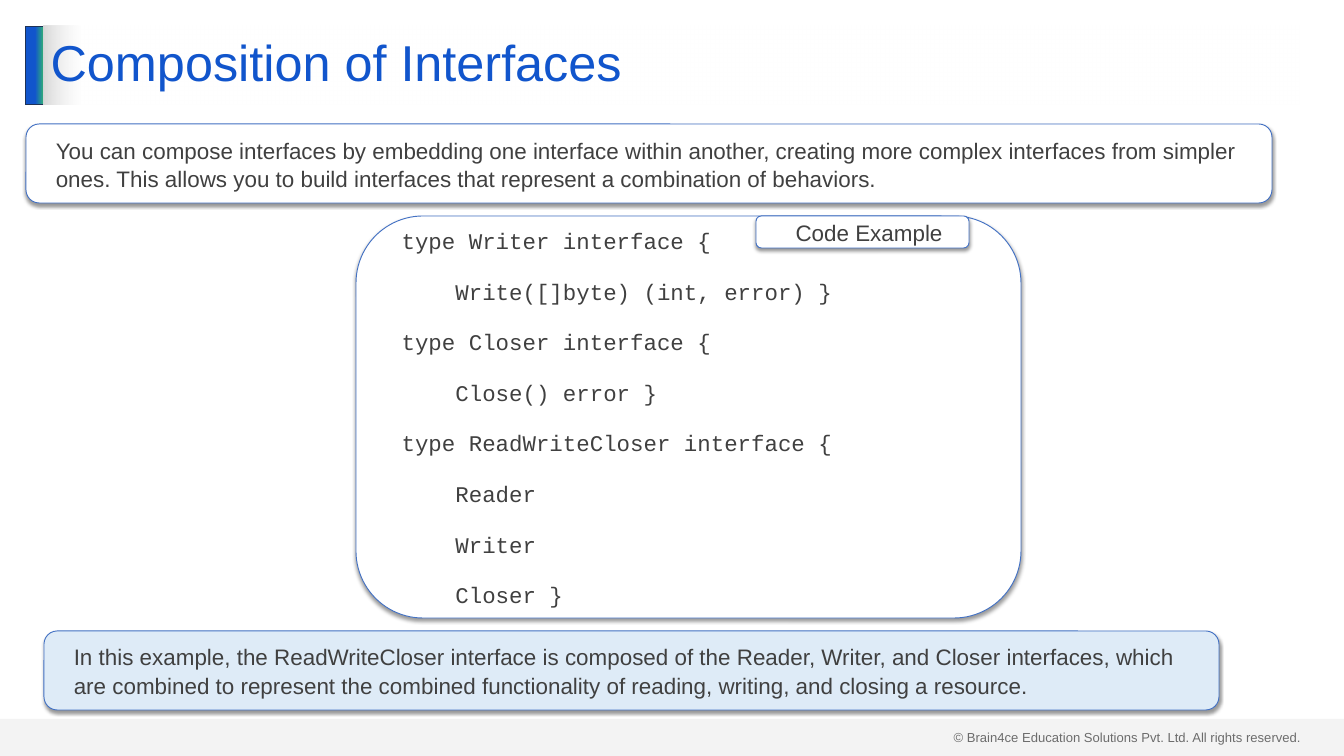
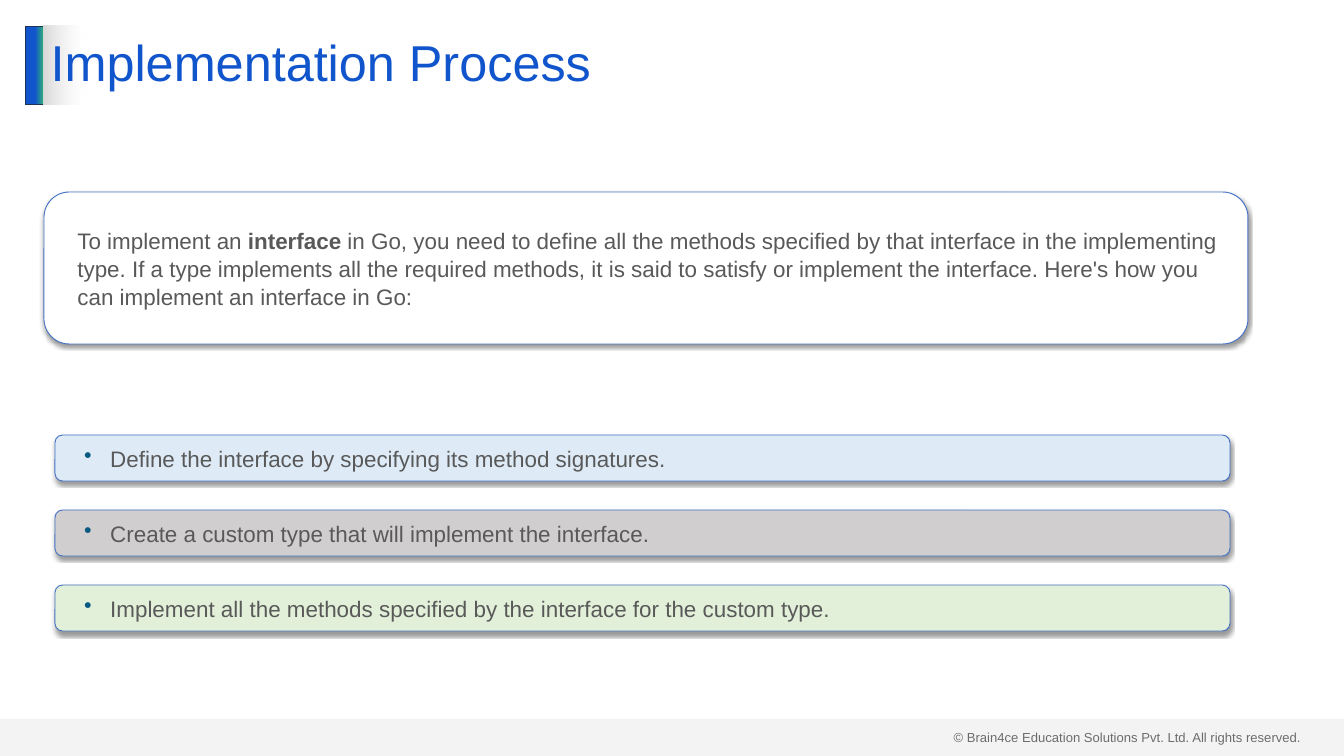
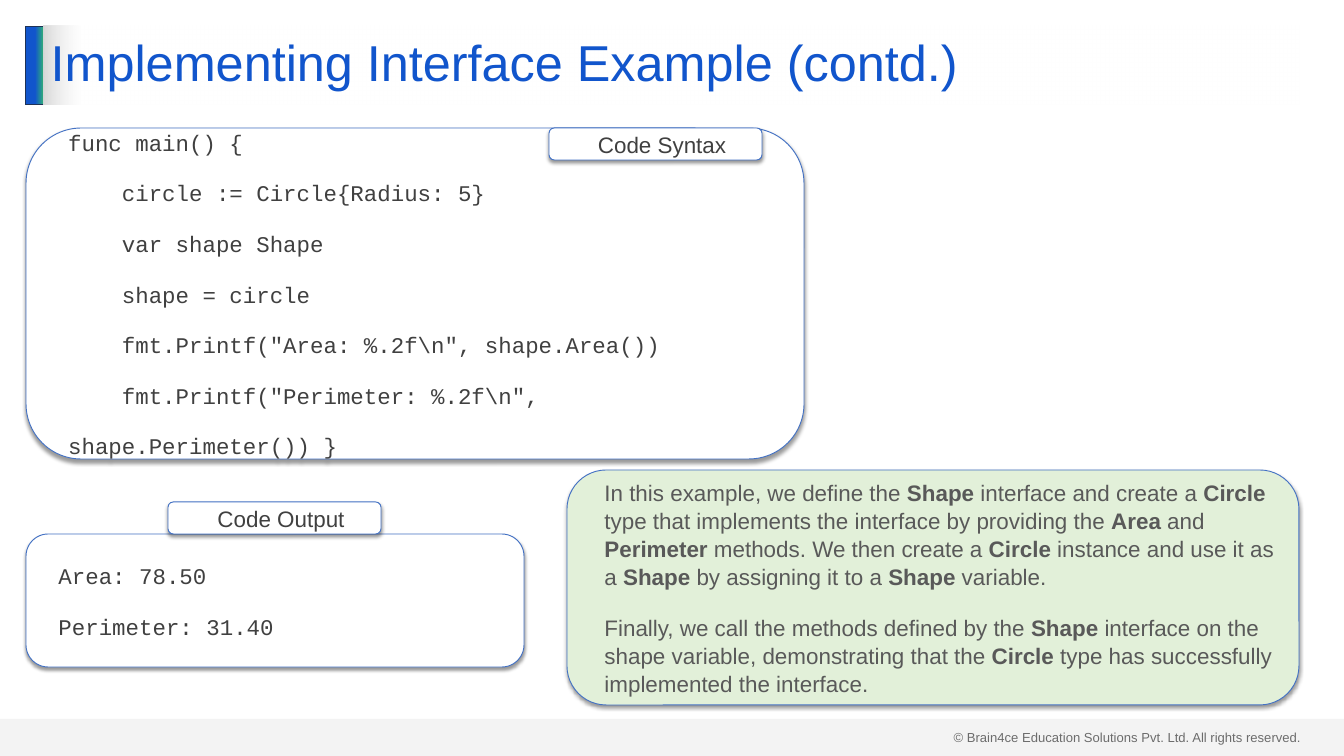
from lxml import etree
from pptx import Presentation
from pptx import util as u
from pptx.dml.color import RGBColor
from pptx.enum import shapes, text
from pptx.oxml.ns import qn

PX = 914400 / 67.2
WIDTH, HEIGHT = 1344, 756
COLOURS = {
    "title": "1155CC", "teal": "2EA87D", "bar_edge": "1E3256",
    "grey": "D9D9D9", "white": "FFFFFF", "edge": "4472C4",
    "dark": "404040", "text": "595959", "bullet": "095A82",
    "blue": "DEEBF7", "stone": "D0CECE", "green": "E2F0D9", "shadow": "000000",
}
BODY, CODE = "Arial", "Courier New"
TAG_SIZE = (213, 32)
COPYRIGHT = "© Brain4ce Education Solutions Pvt. Ltd. All rights reserved."

COMPOSITION_CODE = """type Writer interface {
    Write([]byte) (int, error) }
type Closer interface {
    Close() error }
type ReadWriteCloser interface {
    Reader
    Writer
    Closer }"""

MAIN_CODE = r"""func main() {
    circle := Circle{Radius: 5}
    var shape Shape
    shape = circle
    fmt.Printf("Area: %.2f\n", shape.Area())
    fmt.Printf("Perimeter: %.2f\n",
shape.Perimeter()) }"""

STEPS = [
    ("Define the interface by specifying its method signatures.", "blue"),
    ("Create a custom type that will implement the interface.", "stone"),
    ("Implement all the methods specified by the interface for the custom type.", "green"),
]


def px(value):
    return u.Emu(round(value * PX))


def rgb(name):
    return RGBColor.from_string(COLOURS[name])


def add_colour(parent, name, opacity=100):
    colour = etree.SubElement(parent, qn("a:srgbClr"), val=COLOURS[name])
    if opacity < 100:
        etree.SubElement(colour, qn("a:alpha"), val=str(opacity * 1000))


def add_box(page, area, fill=None, edge=None, kind=shapes.MSO_SHAPE.RECTANGLE):
    box = page.shapes.add_shape(kind, *map(px, area))
    box.shadow.inherit = False
    if fill:
        box.fill.solid()
        box.fill.fore_color.rgb = rgb(fill)
    if edge:
        box.line.color.rgb = rgb(edge)
        box.line.width = u.Pt(1)
    else:
        box.line.fill.background()
    return box


def set_gradient(box, stops):
    """Fill from left to right with (percent, colour, opacity) stops."""
    box.fill.gradient()
    box.fill.gradient_angle = 0
    stop_list = box.element.spPr.find(".//" + qn("a:gsLst"))
    for stop in list(stop_list):
        stop_list.remove(stop)
    for percent, name, opacity in stops:
        stop = etree.SubElement(stop_list, qn("a:gs"), pos=str(percent * 1000))
        add_colour(stop, name, opacity)


def add_shadow(box):
    effects = box.element.spPr.find(qn("a:effectLst"))
    shadow = etree.SubElement(
        effects, qn("a:outerShdw"), blurRad=str(u.Pt(4)), dist=str(u.Pt(3)),
        dir="5400000", algn="t", rotWithShape="0")
    add_colour(shadow, "shadow", 40)


def style(font, size, colour, name=BODY):
    font.size = u.Pt(size)
    font.name = name
    font.color.rgb = rgb(colour)


def indent(para, bullet):
    properties = para._p.get_or_add_pPr()
    properties.set("marL", str(px(40 if bullet else 13)))
    properties.set("indent", str(px(-26 if bullet else 0)))
    if bullet:
        add_colour(etree.SubElement(properties, qn("a:buClr")), "bullet")
        etree.SubElement(properties, qn("a:buChar"), char="•")


def add_card(page, area, content, fill="white", colour="dark", font=BODY,
             align=text.PP_ALIGN.LEFT, bullet=False):
    """Rounded card; each line is a paragraph and **marks** set bold spans."""
    box = add_box(page, area, fill, "edge", shapes.MSO_SHAPE.ROUNDED_RECTANGLE)
    add_shadow(box)
    frame = box.text_frame
    frame.word_wrap = True
    frame.vertical_anchor = text.MSO_ANCHOR.MIDDLE
    frame.margin_left = frame.margin_right = px(13)
    frame.margin_top = frame.margin_bottom = px(7)
    frame.text = content.replace("**", "")
    for number, (para, line) in enumerate(zip(frame.paragraphs, content.split("\n"))):
        indent(para, bullet)
        para.alignment = align
        para.line_spacing = 1.05
        para.space_before = u.Pt(12 if number else 0)
        para.space_after = u.Pt(12)
        para.text = ""
        for position, words in enumerate(line.split("**")):
            span = para.add_run()
            span.text = words
            style(span.font, 24, colour, font)
            span.font.bold = position % 2 == 1


def add_tag(page, left, top, label):
    add_card(page, (left, top, *TAG_SIZE), label, align=text.PP_ALIGN.CENTER)


def add_footer(page):
    box = page.shapes.add_textbox(*map(px, (947, 726, 364, 23)))
    box.text_frame.text = COPYRIGHT
    style(box.text_frame.paragraphs[0].runs[0].font, 14, "dark")


def add_footer_band(page):
    band = add_box(page, (0, 719, WIDTH, 37), "grey")
    add_colour_parent = band.element.spPr.find(qn("a:solidFill"))
    add_colour_parent.clear()
    add_colour(add_colour_parent, "grey", 29)


def add_title(page, title):
    box = add_box(page, (44, 26, 1255, 79))
    set_gradient(box, [(0, "grey", 100), (3, "white", 50)])
    frame = box.text_frame
    frame.word_wrap = True
    frame.vertical_anchor = text.MSO_ANCHOR.MIDDLE
    frame.text = title
    para = frame.paragraphs[0]
    para.alignment = text.PP_ALIGN.LEFT
    para.line_spacing = 0.9
    style(para.runs[0].font, 54, "title")


def add_page(deck, title):
    page = deck.slides.add_slide(deck.slide_layouts[6])
    add_footer(page)
    bar = add_box(page, (25, 26, 20, 79), edge="bar_edge")
    set_gradient(bar, [(51, "title", 100), (90, "teal", 100), (100, "teal", 100)])
    add_footer_band(page)
    add_title(page, title)
    return page


def add_composition(deck):
    page = add_page(deck, "Composition of Interfaces")
    add_card(page, (26, 124, 1246, 79),
             "You can compose interfaces by embedding one interface within another, "
             "creating more complex interfaces from simpler ones. This allows you to "
             "build interfaces that represent a combination of behaviors.")
    add_card(page, (44, 631, 1175, 79),
             "In this example, the ReadWriteCloser interface is composed of the Reader, "
             "Writer, and Closer interfaces, which are combined to represent the combined "
             "functionality of reading, writing, and closing a resource.", "blue")
    add_card(page, (356, 216, 665, 402), COMPOSITION_CODE, font=CODE)
    add_tag(page, 756, 216, "Code Example")


def add_process(deck):
    page = add_page(deck, "Implementation Process")
    add_card(page, (44, 192, 1204, 152),
             "To implement an **interface** in Go, you need to define all the methods "
             "specified by that interface in the implementing type. If a type implements "
             "all the required methods, it is said to satisfy or implement the interface. "
             "Here's how you can implement an interface in Go:", colour="text")
    for number, (step, fill) in enumerate(STEPS):
        add_card(page, (55, 435 + 75 * number, 1175, 46), step, fill, "text", bullet=True)


def add_example(deck):
    page = add_page(deck, "Implementing Interface Example (contd.)")
    add_card(page, (26, 128, 778, 331), MAIN_CODE, font=CODE)
    add_tag(page, 549, 128, "Code Syntax")
    add_card(page, (26, 534, 498, 133), "Area: 78.50\nPerimeter: 31.40", font=CODE)
    add_tag(page, 168, 502, "Code Output")
    add_card(page, (567, 470, 732, 235),
             "In this example, we define the **Shape** interface and create a **Circle **"
             "type that implements the interface by providing the **Area** and "
             "**Perimeter** methods. We then create a **Circle** instance and use it as a "
             "**Shape** by assigning it to a **Shape** variable.\n"
             "Finally, we call the methods defined by the **Shape **interface on the shape "
             "variable, demonstrating that the **Circle** type has successfully "
             "implemented the interface.", "green", "text")


def main():
    deck = Presentation()
    deck.slide_width, deck.slide_height = px(WIDTH), px(HEIGHT)
    add_composition(deck)
    add_process(deck)
    add_example(deck)
    deck.save("out.pptx")


if __name__ == "__main__":
    main()
